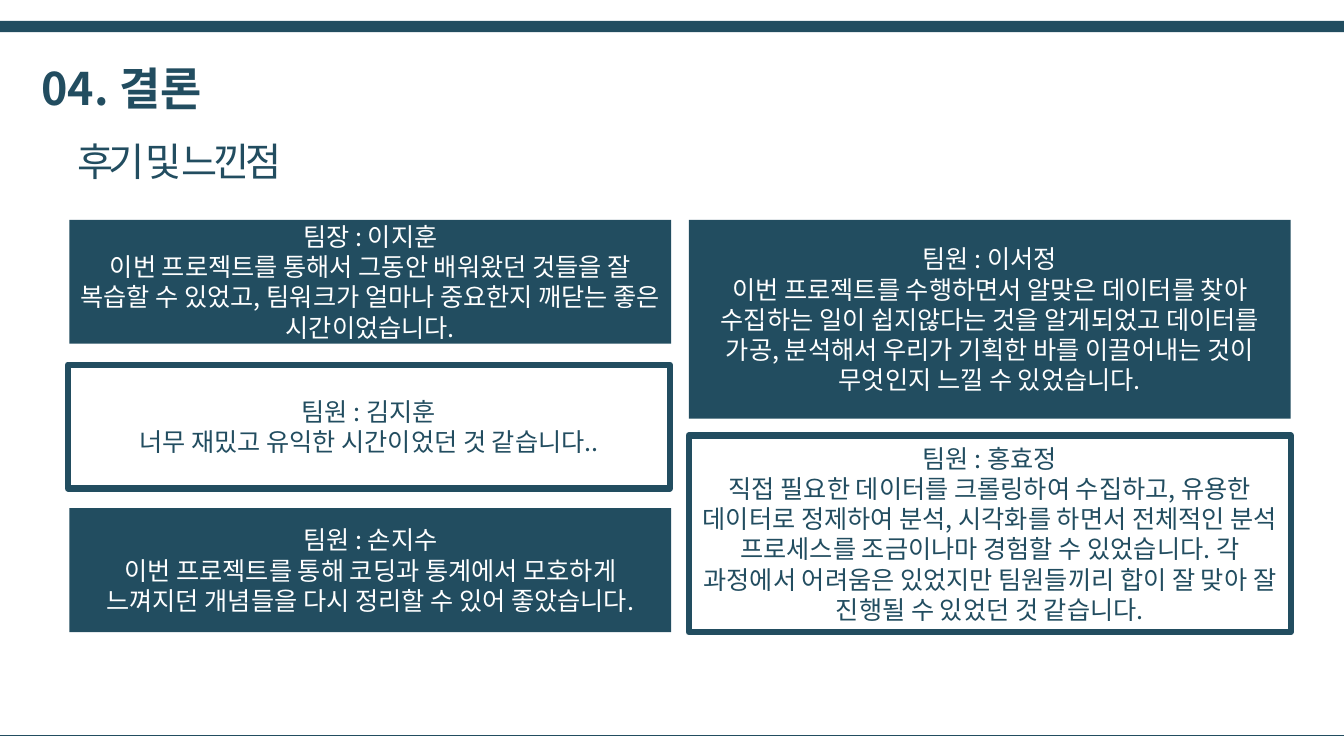
from lxml.etree import SubElement
from pptx import Presentation
from pptx.dml.color import RGBColor
from pptx.enum.shapes import MSO_CONNECTOR, MSO_SHAPE
from pptx.enum.text import MSO_ANCHOR, PP_ALIGN
from pptx.oxml.ns import qn
from pptx.util import Pt

NAVY = RGBColor(0x22, 0x4D, 0x60)
WHITE = RGBColor(0xFF, 0xFF, 0xFF)
FONT = "Noto Sans CJK KR"
LINE_HEIGHT = 1.2


def write(frame, text, size, color, bold=False, align=PP_ALIGN.LEFT, spacing=None):
    """Fill a text frame, one paragraph per line of text."""
    for index, line in enumerate(text.split("\n")):
        para = frame.paragraphs[0] if index == 0 else frame.add_paragraph()
        para.alignment = align
        para.line_spacing = Pt(size * LINE_HEIGHT)
        span = para.add_run()
        span.text = line
        font = span.font
        font.name, font.size, font.bold = FONT, Pt(size), bold
        font.color.rgb = color
        properties = span._r.get_or_add_rPr()
        SubElement(properties, qn("a:ea"), typeface=FONT)
        if spacing is not None:
            properties.set("spc", str(spacing * 100))


def add_panel(left, top, width, height, fill, border=None):
    panel = page.shapes.add_shape(
        MSO_SHAPE.RECTANGLE, Pt(left), Pt(top), Pt(width), Pt(height))
    panel.shadow.inherit = False
    panel.fill.solid()
    panel.fill.fore_color.rgb = fill
    if border is None:
        panel.line.fill.background()
    else:
        panel.line.color.rgb = border
        panel.line.width = Pt(4.5)
    return panel


deck = Presentation()
deck.slide_width, deck.slide_height = Pt(960), Pt(540)
page = deck.slides.add_slide(deck.slide_layouts[6])

# Top band and bottom rule
add_panel(0, 15, 960, 8, NAVY)
rule = page.shapes.add_connector(
    MSO_CONNECTOR.STRAIGHT, Pt(0), Pt(525), Pt(960), Pt(525))
rule.line.color.rgb = NAVY
rule.line.width = Pt(0.5)
SubElement(rule._element.spPr, qn("a:effectLst"))

# Headings
title = page.shapes.add_textbox(Pt(22.5), Pt(39.5), Pt(140), Pt(46))
title.text_frame.word_wrap = False
write(title.text_frame, "04. 결론", 32, NAVY, bold=True)

subtitle = page.shapes.add_textbox(Pt(48), Pt(94.5), Pt(481), Pt(41))
subtitle.text_frame.word_wrap = True
write(subtitle.text_frame, "후기 및 느낀점", 28, NAVY, spacing=-3)

# Review cards: left, top, height, filled, text
CARD_WIDTH = 430
cards = [
    (49.5, 157, 88.5, True,
     "팀장 : 이지훈\n이번 프로젝트를 통해서 그동안 배워왔던 것들을 잘 복습할 수 있었고, "
     "팀워크가 얼마나 중요한지 깨닫는 좋은 시간이었습니다."),
    (48.5, 260.5, 88.5, False,
     "팀원 : 김지훈\n너무 재밌고 유익한 시간이었던 것 같습니다.."),
    (49.5, 363, 88.5, True,
     "팀원 : 손지수\n이번 프로젝트를 통해 코딩과 통계에서 모호하게 느껴지던 "
     "개념들을 다시 정리할 수 있어 좋았습니다."),
    (492, 157, 142, True,
     "팀원 : 이서정\n이번 프로젝트를 수행하면서 알맞은 데이터를 찾아 수집하는 일이 "
     "쉽지않다는 것을 알게되었고 데이터를 가공, 분석해서 우리가 기획한 바를 "
     "이끌어내는 것이 무엇인지 느낄 수 있었습니다."),
    (492, 311, 140.5, False,
     "팀원 : 홍효정\n직접 필요한 데이터를 크롤링하여 수집하고, 유용한 데이터로 "
     "정제하여 분석, 시각화를 하면서 전체적인 분석 프로세스를 조금이나마 경험할 수 "
     "있었습니다. 각 과정에서 어려움은 있었지만 팀원들끼리 합이 잘 맞아 잘 진행될 수 "
     "있었던 것 같습니다."),
]
for left, top, height, filled, text in cards:
    fill, border, ink = (NAVY, None, WHITE) if filled else (WHITE, NAVY, NAVY)
    card = add_panel(left, top, CARD_WIDTH, height, fill, border)
    card.text_frame.word_wrap = True
    card.text_frame.vertical_anchor = MSO_ANCHOR.MIDDLE
    write(card.text_frame, text, 18, ink, align=PP_ALIGN.CENTER)

deck.save("out.pptx")
